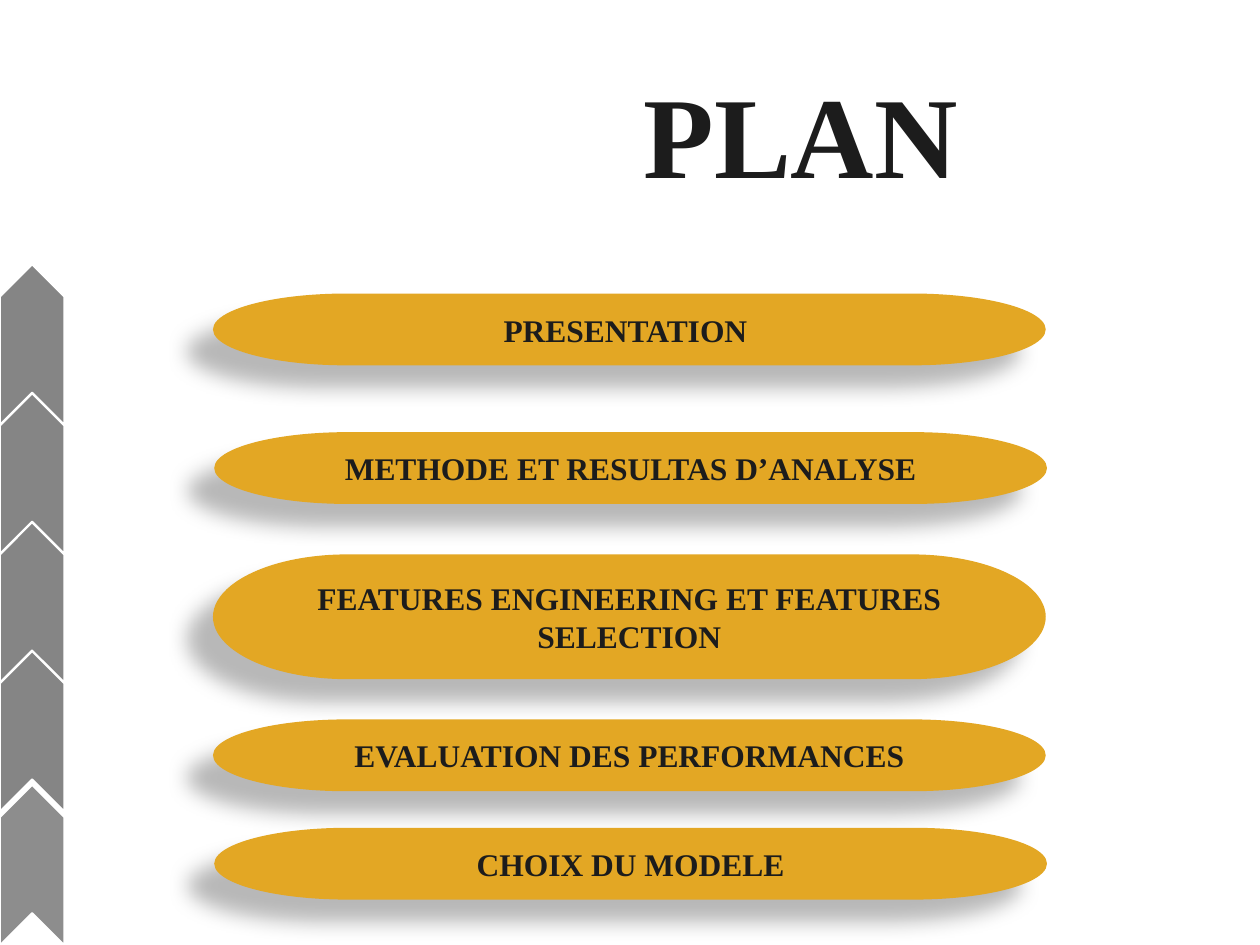
import pptx
import pptx.util
import pptx.dml.color
import pptx.enum.shapes
import pptx.enum.text
import pptx.oxml.ns
from lxml import etree

RGB = pptx.dml.color.RGBColor
INK = RGB(0x1C, 0x1C, 0x1C)
GOLD = RGB(0xE3, 0xA7, 0x24)
GREY = RGB(0x85, 0x85, 0x85)
LIGHT_GREY = RGB(0x8D, 0x8D, 0x8D)
WHITE = RGB(0xFF, 0xFF, 0xFF)
SHAPE = pptx.enum.shapes.MSO_SHAPE
ALIGN = pptx.enum.text.PP_ALIGN
ANCHOR = pptx.enum.text.MSO_ANCHOR
qn = pptx.oxml.ns.qn

prs = pptx.Presentation()
prs.slide_width = pptx.util.Inches(10)
prs.slide_height = pptx.util.Inches(7.5)
COL = prs.slide_width / 100
ROW = prs.slide_height / 75
s = prs.slides.add_slide(prs.slide_layouts[6])


def box(col, row, cols, rows):
    return [int(v) for v in (col * COL, row * ROW, cols * COL, rows * ROW)]


def write(sp, text, size=18, align=ALIGN.CENTER, anchor=ANCHOR.MIDDLE):
    tf = sp.text_frame
    tf.word_wrap = True
    tf.vertical_anchor = anchor
    p = tf.paragraphs[0]
    p.alignment = align
    r = p.add_run()
    r.text = text
    r.font.name = "Times New Roman"
    r.font.size = pptx.util.Pt(size)
    r.font.bold = True
    r.font.color.rgb = INK


title = s.shapes.add_textbox(*box(50.1, 4.5, 28.3, 12.1))
write(title, "PLAN", size=66, align=ALIGN.LEFT, anchor=ANCHOR.TOP)

chevrons = [(24.8 + i * 10.23, GREY) for i in (3, 2, 1)]
chevrons += [(66.1, LIGHT_GREY), (24.8, GREY)]
for row, color in chevrons:
    sp = s.shapes.add_shape(SHAPE.CHEVRON, *box(-3.8, row, 12.7, 5.1))
    sp.rotation = 270
    sp.shadow.inherit = False
    sp.fill.solid()
    sp.fill.fore_color.rgb = color
    sp.line.color.rgb = WHITE
    sp.line.width = pptx.util.Pt(1)

topics = [
    ("PRESENTATION ", 16.9, 23.3, 5.7),
    ("METHODE ET RESULTAS D’ANALYSE", 17, 34.3, 5.7),
    ("FEATURES ENGINEERING ET FEATURES SELECTION", 16.9, 44, 9.9),
    ("EVALUATION DES PERFORMANCES", 16.9, 57.1, 5.7),
    ("CHOIX DU MODELE", 17, 65.7, 5.7),
]
for text, col, row, rows in topics:
    sp = s.shapes.add_shape(SHAPE.FLOWCHART_TERMINATOR, *box(col, row, 66.1, rows))
    sp.fill.solid()
    sp.fill.fore_color.rgb = GOLD
    sp.line.fill.background()
    sp.shadow.inherit = False
    effects = sp._element.spPr.find(qn("a:effectLst"))
    shadow = etree.SubElement(
        effects, qn("a:outerShdw"),
        blurRad=str(pptx.util.Pt(11.8)), dist=str(pptx.util.Pt(19.7)),
        dir=str(141 * 60000), algn="ctr", rotWithShape="0")
    black = etree.SubElement(shadow, qn("a:srgbClr"), val="000000")
    etree.SubElement(black, qn("a:alpha"), val="28000")
    write(sp, text)

prs.save("out.pptx")
